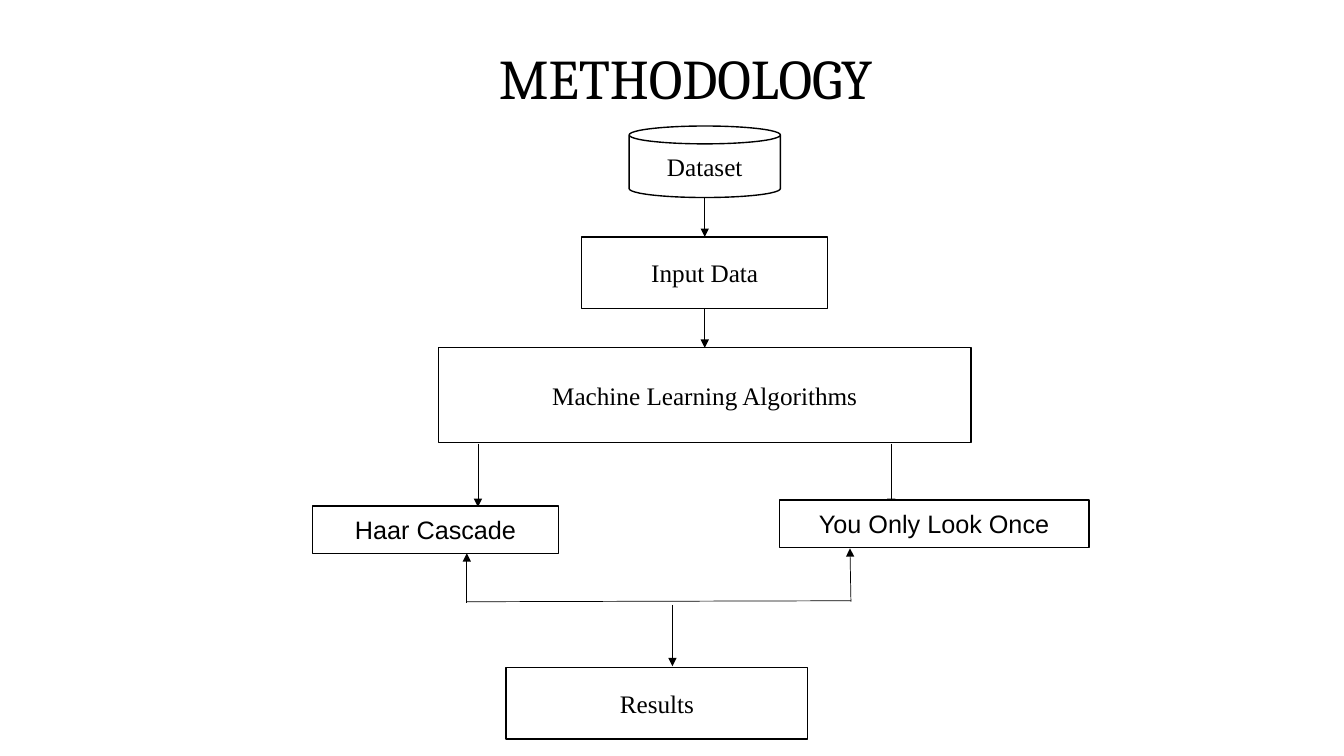
from lxml import etree
from pptx import Presentation
from pptx.dml.color import RGBColor
from pptx.enum.shapes import MSO_CONNECTOR as Connector, MSO_SHAPE as Shape
from pptx.enum.text import MSO_ANCHOR as Anchor, PP_ALIGN as Align
from pptx.oxml.ns import qn
from pptx.util import Inches, Pt

BLACK, WHITE = "000000", "FFFFFF"
SERIF, SANS = "Times New Roman", "Arial"
TITLE = ("METHODOLOGY", 1.05, 0.39, 11.5, 0.84)

# text, shape, font, left, top, width, height
STEPS = [
    ("Dataset", Shape.CAN, SERIF, 6.24, 1.25, 1.5, 0.71),
    ("Input Data", Shape.RECTANGLE, SERIF, 5.77, 2.35, 2.44, 0.71),
    ("Machine Learning Algorithms", Shape.RECTANGLE, SERIF, 4.35, 3.45, 5.28, 0.94),
    ("Haar Cascade", Shape.RECTANGLE, SANS, 3.1, 5.02, 2.44, 0.47),
    ("You Only Look Once", Shape.RECTANGLE, SANS, 7.73, 4.96, 3.07, 0.47),
    ("Results", Shape.RECTANGLE, SERIF, 5.02, 6.62, 2.99, 0.71),
]

# start x, start y, end x, end y, has arrowhead
BRANCHES = [
    (4.74, 4.4, 4.74, 5.03, True),
    (8.84, 4.4, 8.84, 5.03, True),
    (4.63, 5.98, 4.63, 5.49, True),
    (4.63, 5.97, 8.44, 5.96, False),
    (8.44, 5.97, 8.43, 5.44, True),
    (6.67, 6, 6.67, 6.61, True),
]


def color(value):
    return RGBColor.from_string(value)


def write(shape, text, font, size):
    frame = shape.text_frame
    frame.word_wrap = True
    frame.vertical_anchor = Anchor.MIDDLE
    para = frame.paragraphs[0]
    para.text = text
    para.alignment = Align.CENTER
    para.font.name = font
    para.font.size = Pt(size)
    para.font.color.rgb = color(BLACK)
    return para


def add_step(page, text, kind, font, *place):
    box = page.shapes.add_shape(kind, *map(Inches, place))
    box.shadow.inherit = False
    box.fill.solid()
    box.fill.fore_color.rgb = color(WHITE)
    box.line.color.rgb = color(BLACK)
    box.line.width = Pt(1)
    write(box, text, font, 18)
    return box


def add_line(page, ends, arrow=True):
    line = page.shapes.add_connector(Connector.STRAIGHT, *ends)
    line.line.color.rgb = color(BLACK)
    line.line.width = Pt(0.5)
    properties = line.line._get_or_add_ln()
    if arrow:
        etree.SubElement(properties, qn("a:tailEnd"), type="triangle")
    etree.SubElement(properties.getparent(), qn("a:effectLst"))
    return line


def main():
    deck = Presentation()
    deck.slide_width, deck.slide_height = Inches(13.33), Inches(7.5)
    page = deck.slides.add_slide(deck.slide_layouts[6])

    text, *place = TITLE
    title = page.shapes.add_textbox(*map(Inches, place))
    write(title, text, "Cambria", 40).line_spacing = 0.9

    for *ends, arrow in BRANCHES:
        add_line(page, map(Inches, ends), arrow)

    boxes = [add_step(page, *step) for step in STEPS]
    for upper, lower in zip(boxes[:2], boxes[1:3]):
        middle = upper.left + upper.width // 2
        link = add_line(page, (middle, upper.top + upper.height, middle, lower.top))
        if upper.auto_shape_type == Shape.RECTANGLE:
            link.begin_connect(upper, 2)
        link.end_connect(lower, 0)

    deck.save("out.pptx")


if __name__ == "__main__":
    main()
